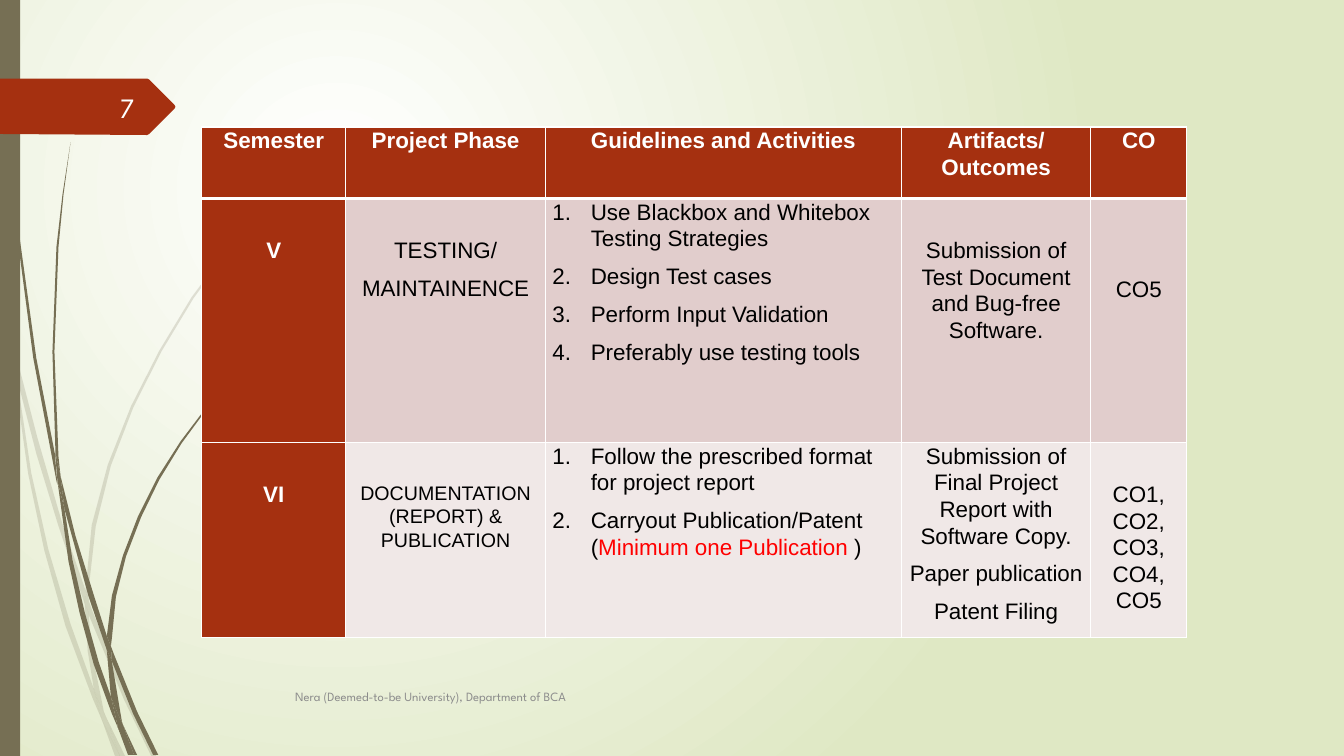
from dataclasses import dataclass

from lxml.etree import SubElement
from pptx import Presentation
from pptx.dml.color import RGBColor
from pptx.enum.shapes import MSO_SHAPE as Preset
from pptx.enum.text import MSO_ANCHOR as Anchor, PP_ALIGN as Align
from pptx.oxml.ns import qn
from pptx.util import Inches, Pt

WHITE = RGBColor(0xFF, 0xFF, 0xFF)
BLACK = RGBColor(0, 0, 0)
RED = RGBColor(0xFF, 0, 0)
PALE_GREEN = RGBColor(0xDF, 0xE8, 0xC4)
OLIVE = RGBColor(0x76, 0x6F, 0x54)
RUST = RGBColor(0xA5, 0x30, 0x10)
ROSE = RGBColor(0xE1, 0xCD, 0xCC)
PALE_ROSE = RGBColor(0xF0, 0xE8, 0xE7)
GRAY = RGBColor(0x8C, 0x8C, 0x8C)
NUMBER_WHITE = RGBColor(0xFE, 0xFF, 0xFF)
TABLE_FONT, THEME_FONT = "Arial", "League Spartan"
LINE_DROP = 0.38  # height of one table line with its spacing

Point = tuple[float, float]
Outline = list[Point]


@dataclass
class Run:
    text: str
    color: RGBColor = BLACK
    size: float = 16
    bold: bool = False
    font: str = TABLE_FONT


@dataclass
class Cell:
    paragraphs: list[list[Run]]
    fill: RGBColor
    lines_down: int = 0
    numbered: bool = False


@dataclass
class Label:
    run: Run
    box: tuple[float, float, float, float]
    align: Align


# Blades of grass, each an outline in inches
FAINT_BLADES: list[Outline] = [
    [(0.11, 3.5), (0.09, 3.22), (0, 2.82), (0, 2.99), (0.1, 3.44)],
    [(0.58, 5.22), (0.84, 5.99), (0.85, 5.86), (0.62, 5.2), (0.37, 4.34), (0.14, 3.45),
     (0.17, 3.76), (0.36, 4.5)],
    [(0.92, 6.07), (0.88, 5.96), (0.88, 6.1), (1.23, 6.94), (1.5, 7.5), (1.55, 7.5), (1.27, 6.92)],
    [(1.19, 7.5), (1.24, 7.5), (1.05, 7.11)],
    [(0.93, 6.83), (0.7, 6.19), (0.48, 5.45), (0.31, 4.69), (0.17, 3.76), (0.11, 3.5), (0.28, 4.7),
     (0.44, 5.46), (0.65, 6.21), (0.92, 6.93), (1.01, 7.14), (0.99, 7.07)],
    [(0.84, 5.99), (0.87, 6.46), (0.93, 6.83), (0.96, 6.92), (1.05, 7.11), (1.03, 7.06),
     (0.91, 6.46), (0.88, 6.1), (0.88, 6.08)],
    [(0.88, 5.84), (0.95, 5.22), (1.1, 4.62), (1.32, 4.05), (1.6, 3.49), (1.92, 2.96), (2.29, 2.45),
     (2.68, 1.98), (2.9, 1.75), (3.12, 1.54), (3.12, 1.53), (2.89, 1.75), (2.68, 1.97),
     (2.28, 2.44), (1.9, 2.95), (1.58, 3.48), (1.3, 4.03), (1.07, 4.61), (0.91, 5.21),
     (0.85, 5.84), (0.85, 5.86), (0.88, 5.96)],
    [(1.01, 7.14), (1.14, 7.5), (1.19, 7.5)],
    [(0.88, 6.08), (0.88, 6.1), (0.88, 5.96), (0.85, 5.86), (0.84, 5.99)],
    [(0.96, 6.92), (0.93, 6.83), (0.99, 7.07), (1.01, 7.14), (1.19, 7.5), (1.05, 7.11)],
]
DARK_BLADES: list[Outline] = [
    [(0.07, 1.1), (0.17, 2.33), (0.33, 3.55), (0.56, 4.77), (0.57, 4.81), (0.55, 4.57),
     (0.55, 4.53), (0.36, 3.55), (0.19, 2.32), (0.08, 1.09), (0.05, 0.48), (0.04, 0), (0.03, 0),
     (0.04, 0.48)],
    [(0.88, 5.92), (1.06, 6.45), (1.06, 6.33), (1.06, 6.31), (0.93, 5.9), (0.75, 5.32), (0.6, 4.72),
     (0.64, 5.05)],
    [(1.13, 6.49), (1.1, 6.41), (1.11, 6.56), (1.32, 7.08), (1.52, 7.49), (1.57, 7.49),
     (1.36, 7.06)],
    [(1.1, 6.91), (0.98, 6.57), (0.84, 6.07), (0.72, 5.56), (0.64, 5.05), (0.57, 4.77),
     (0.68, 5.57), (0.79, 6.08), (0.93, 6.59), (1.11, 7.08), (1.17, 7.22), (1.16, 7.17)],
    [(0.6, 4.72), (0.58, 4.53), (0.54, 3.49), (0.58, 2.45), (0.63, 1.93), (0.7, 1.41), (0.62, 1.93),
     (0.56, 2.45), (0.52, 3.49), (0.55, 4.49)],
    [(1.33, 7.49), (1.36, 7.49), (1.22, 7.19)],
    [(0.57, 4.77), (0.64, 5.05), (0.6, 4.72), (0.55, 4.49), (0.55, 4.53)],
    [(1.11, 6.33), (1.15, 5.92), (1.25, 5.52), (1.4, 5.13), (1.58, 4.76), (1.8, 4.4), (2.05, 4.06),
     (2.31, 3.74), (2.45, 3.59), (2.61, 3.44), (2.6, 3.44), (2.45, 3.58), (2.31, 3.73),
     (2.04, 4.05), (1.79, 4.38), (1.56, 4.74), (1.37, 5.12), (1.22, 5.51), (1.11, 5.91),
     (1.06, 6.31), (1.1, 6.41)],
    [(1.17, 7.22), (1.27, 7.49), (1.31, 7.49)],
    [(1.06, 6.45), (1.1, 6.91), (1.16, 7.06), (1.22, 7.19), (1.21, 7.16), (1.11, 6.56),
     (1.09, 6.51)],
    [(1.06, 6.45), (1.09, 6.51), (1.11, 6.56), (1.1, 6.41), (1.06, 6.31), (1.06, 6.33)],
    [(1.16, 7.06), (1.1, 6.91), (1.16, 7.17), (1.17, 7.22), (1.3, 7.49), (1.33, 7.49),
     (1.22, 7.19)],
]
NUMBER_ARROW: Outline = [(0, 0.78), (1.46, 0.78), (1.48, 0.79), (1.73, 1.04), (1.74, 1.06),
                         (1.73, 1.08), (1.48, 1.33), (1.46, 1.34), (0, 1.33)]

# Table content
COLUMN_WIDTHS = [1.43, 1.98, 3.53, 1.88, 0.95]
ROW_HEIGHTS = [0.71, 2.42, 1.65]


def heading(text: str, lines_down: int = 0) -> Cell:
    return Cell([[Run(text, WHITE, bold=True)]], RUST, lines_down)


def body(fill: RGBColor, *texts: str, lines_down: int = 0, numbered: bool = False,
         size: float = 16) -> Cell:
    return Cell([[Run(text, size=size)] for text in texts], fill, lines_down, numbered)


HEADERS = ["Semester", "Project Phase", "Guidelines and Activities", "Artifacts/ Outcomes", "CO"]
REPORT_STEPS = Cell([
    [Run("Follow the prescribed format for project report")],
    [Run("Carryout Publication/Patent ("), Run("Minimum one Publication ", RED), Run(")")],
], PALE_ROSE, numbered=True)
ROWS: list[list[Cell]] = [
    [heading(text) for text in HEADERS],
    [heading("V", 1),
     body(ROSE, "TESTING/", "MAINTAINENCE", lines_down=1),
     body(ROSE, "Use Blackbox and Whitebox Testing Strategies", "Design Test cases",
          "Perform Input Validation", "Preferably use testing tools", numbered=True),
     body(ROSE, "Submission of Test Document and Bug-free Software.", lines_down=1),
     body(ROSE, "CO5", lines_down=2)],
    [heading("VI", 1),
     body(PALE_ROSE, "DOCUMENTATION (REPORT) & PUBLICATION", lines_down=1, size=14),
     REPORT_STEPS,
     body(PALE_ROSE, "Submission of Final Project Report with Software Copy.",
          "Paper publication", "Patent Filing"),
     body(PALE_ROSE, "CO1, CO2, CO3, CO4, CO5", lines_down=1)],
]
LABELS = [
    Label(Run("Nera (Deemed-to-be University), Department of BCA", GRAY, 9, font=THEME_FONT),
          (2.83, 6.71, 8.33, 0.4), Align.LEFT),
    Label(Run("7", NUMBER_WHITE, 20, font=THEME_FONT), (0.58, 0.86, 0.85, 0.4), Align.RIGHT),
]


def add_run(paragraph, run: Run) -> None:
    text_run = paragraph.add_run()
    text_run.text = run.text
    font = text_run.font
    font.name, font.size, font.bold = run.font, Pt(run.size), run.bold
    font.color.rgb = run.color


def paint(shape, color: RGBColor, alpha: int = 100) -> None:
    shape.shadow.inherit = False
    shape.fill.solid()
    shape.fill.fore_color.rgb = color
    shape.line.fill.background()
    if alpha < 100:
        color_element = shape._element.spPr.find(qn("a:solidFill"))[0]
        SubElement(color_element, qn("a:alpha"), val=str(alpha * 1000))


def add_outline(shapes, outline: Outline, color: RGBColor, alpha: int = 100) -> None:
    start, *others = [(Inches(x), Inches(y)) for x, y in outline]
    builder = shapes.build_freeform(*start)
    builder.add_line_segments(others, close=True)
    paint(builder.convert_to_shape(), color, alpha)


def set_background(slide) -> None:
    fill = slide.background.fill
    fill.gradient()
    for stop, color in zip(fill.gradient_stops, (WHITE, PALE_GREEN)):
        stop.color.rgb = color
    gradient = slide.background._cSld.find(".//" + qn("a:gradFill"))
    gradient.remove(gradient.find(qn("a:lin")))
    circle = SubElement(gradient, qn("a:path"), path="circle")
    SubElement(circle, qn("a:fillToRect"), l="50000", t="50000", r="100000", b="100000")


def add_borders(cell, top: float, bottom: float) -> None:
    for side, width in (("L", 1), ("R", 1), ("T", top), ("B", bottom)):
        line = SubElement(cell._tc.get_or_add_tcPr(), qn(f"a:ln{side}"), w=str(Pt(width)))
        SubElement(SubElement(line, qn("a:solidFill")), qn("a:srgbClr"), val=str(WHITE))


def fill_cell(cell, content: Cell) -> None:
    cell.fill.solid()
    cell.fill.fore_color.rgb = content.fill
    cell.margin_left = cell.margin_right = Inches(0.07)
    cell.margin_top, cell.margin_bottom = Inches(LINE_DROP * content.lines_down), 0
    frame = cell.text_frame
    for index, runs in enumerate(content.paragraphs):
        paragraph = frame.add_paragraph() if index else frame.paragraphs[0]
        paragraph.line_spacing, paragraph.space_after = 1.07, Pt(8)
        paragraph.alignment = Align.LEFT if content.numbered else Align.CENTER
        if content.numbered:
            properties = paragraph._p.get_or_add_pPr()
            properties.set("marL", str(Inches(0.38)))
            properties.set("indent", str(-Inches(0.38)))
            SubElement(properties, qn("a:buFont"), typeface="+mj-lt")
            SubElement(properties, qn("a:buAutoNum"), type="arabicPeriod")
        for run in runs:
            add_run(paragraph, run)


def add_phase_table(slide) -> None:
    table = slide.shapes.add_table(len(ROWS), len(COLUMN_WIDTHS), Inches(2), Inches(1.26),
                                   Inches(sum(COLUMN_WIDTHS)), Inches(sum(ROW_HEIGHTS))).table
    for column, width in zip(table.columns, COLUMN_WIDTHS):
        column.width = Inches(width)
    for row_index, (row, height) in enumerate(zip(ROWS, ROW_HEIGHTS)):
        table.rows[row_index].height = Inches(height)
        for column_index, content in enumerate(row):
            cell = table.cell(row_index, column_index)
            add_borders(cell, 3 if row_index == 1 else 1, 3 if row_index == 0 else 1)
            fill_cell(cell, content)


def add_label(slide, label: Label) -> None:
    frame = slide.shapes.add_textbox(*map(Inches, label.box)).text_frame
    frame.word_wrap, frame.vertical_anchor = True, Anchor.MIDDLE
    frame.paragraphs[0].alignment = label.align
    add_run(frame.paragraphs[0], label.run)


def main() -> None:
    presentation = Presentation()
    presentation.slide_width, presentation.slide_height = Inches(13.33), Inches(7.5)
    slide = presentation.slides.add_slide(presentation.slide_layouts[6])
    set_background(slide)

    # Grass, side bar and number arrow
    for blades, alpha in ((FAINT_BLADES, 20), (DARK_BLADES, 100)):
        group = slide.shapes.add_group_shape()
        for blade in blades:
            add_outline(group.shapes, blade, OLIVE, alpha)
    side_bar = slide.shapes.add_shape(Preset.RECTANGLE, 0, 0, Inches(0.2), Inches(7.5))
    paint(side_bar, OLIVE)
    add_outline(slide.shapes, NUMBER_ARROW, RUST)

    # Footer, slide number and table
    for label in LABELS:
        add_label(slide, label)
    add_phase_table(slide)
    presentation.save("out.pptx")


if __name__ == "__main__":
    main()
